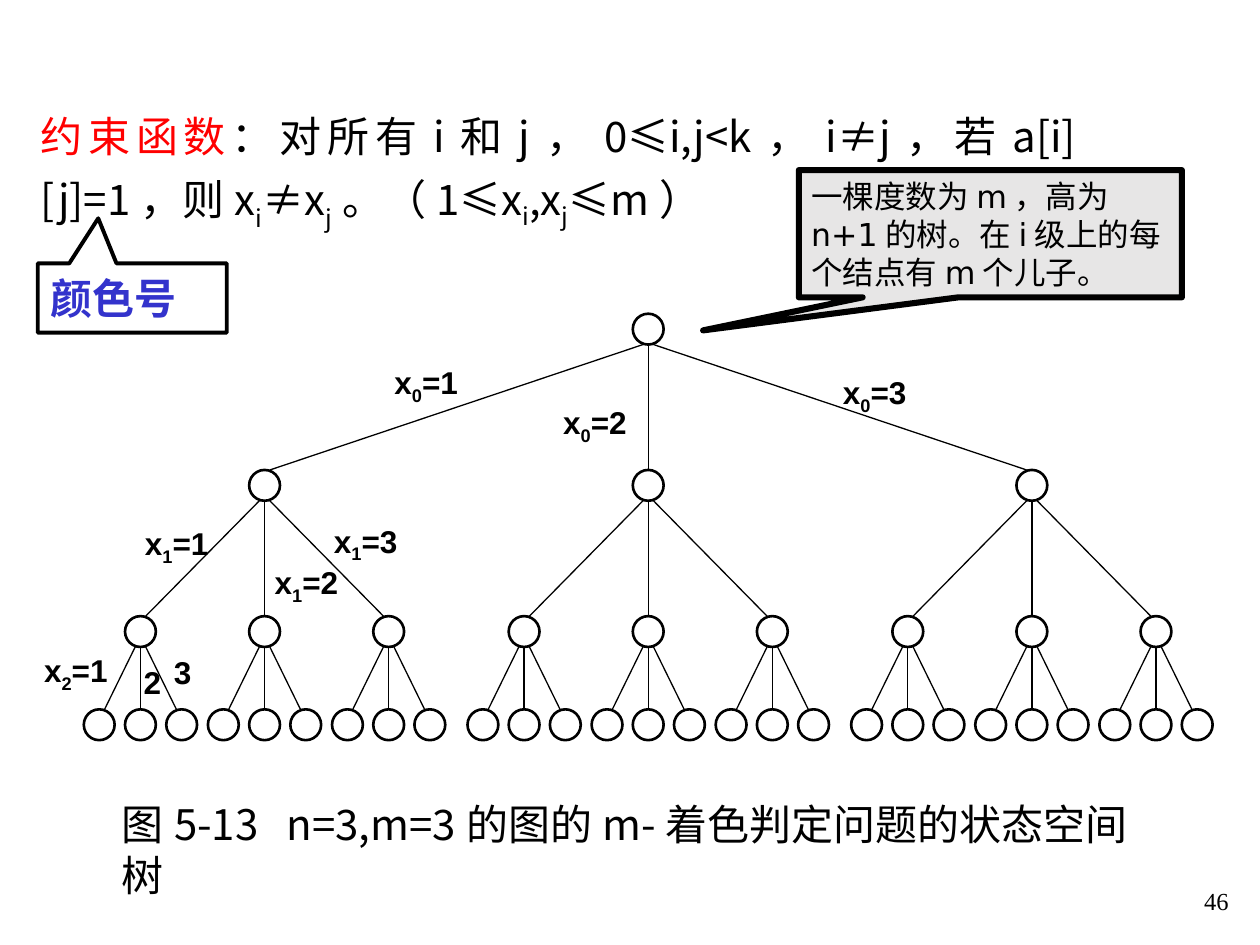
"""Builds the slide on the state space tree of the m-colouring problem."""
from dataclasses import dataclass

from lxml import etree
from pptx import Presentation
from pptx.dml.color import RGBColor
from pptx.enum.shapes import MSO_CONNECTOR, MSO_SHAPE
from pptx.enum.text import MSO_ANCHOR, MSO_AUTO_SIZE, PP_ALIGN
from pptx.oxml.ns import qn
from pptx.util import Emu, Inches, Pt

OVAL, CALL = MSO_SHAPE.OVAL, MSO_SHAPE.RECTANGULAR_CALLOUT
LINE = MSO_CONNECTOR.STRAIGHT
TOP, MID = MSO_ANCHOR.TOP, MSO_ANCHOR.MIDDLE
LEFT, RIGHT, FULL = PP_ALIGN.LEFT, PP_ALIGN.RIGHT, PP_ALIGN.JUSTIFY
FIXED = MSO_AUTO_SIZE.NONE
WIDE, HIGH = Inches(10), Inches(7.5)
COLS, ROWS = 100, 75


@dataclass(frozen=True)
class Theme:
    """Colours, fonts and type sizes."""
    ink: str = "000000"
    paper: str = "FFFFFF"
    red: str = "FF0000"
    blue: str = "3333CC"
    gray: str = "E7E6E6"
    han: str = "Noto Sans CJK SC"
    sans: str = "DejaVu Sans"
    bold: str = "Arial"
    serif: str = "Times New Roman"
    big: float = 24
    mid: float = 18
    small: float = 14


@dataclass(frozen=True)
class Box:
    """A place in grid columns and rows."""
    x: float
    y: float
    w: float
    h: float


@dataclass(frozen=True)
class Bit:
    """A stretch of text with its own colour or baseline."""
    text: str
    base: int = 0
    color: str = ""


@dataclass(frozen=True)
class Tag:
    """A label on a branch."""
    x: float
    y: float
    bits: tuple


@dataclass(frozen=True)
class Note:
    """A callout with its pointer and look."""
    box: Box
    tip: tuple
    text: str
    fill: str
    edge: float
    font: str
    size: float
    color: str
    bold: bool = False


THEME = Theme()
SIZE = 2.45
SLANT = 0.42
ROOT = 51.45
TIERS = (24.9, 37.3, 48.9, 56.3)
GAPS = (30.45, 9.85, 3.27)

HEAD = (
    Bit("约束函数", color=THEME.red), Bit("：对所有i和j，0≤i,j<k，i≠j，若a[i][j]=1，则x"),
    Bit("i", -30), Bit("≠x"), Bit("j", -30), Bit("。（1≤x"),
    Bit("i", -25), Bit(",x"), Bit("j", -25), Bit("≤m）"),
)


def pair(sub: str, num: int) -> tuple:
    """Return the bits of an equation such as x0=1."""
    return Bit("x"), Bit(sub, -25), Bit(f"={num}")


TAGS = (
    Tag(31.3, 28.8, pair("0", 1)), Tag(44.7, 32, pair("0", 2)),
    Tag(66.9, 29.6, pair("0", 3)), Tag(11.5, 41.6, pair("1", 1)),
    Tag(21.8, 44.7, pair("1", 2)), Tag(26.5, 41.4, pair("1", 3)),
    Tag(3.5, 51.7, pair("2", 1)), Tag(11.4, 52.6, (Bit("2"),)),
    Tag(13.8, 51.8, (Bit("3"),)),
)
NOTES = (
    Note(Box(3, 20.9, 15, 5.5), (-0.18, -1.15), "颜色号", THEME.paper, 2.25,
         THEME.bold, THEME.big, THEME.blue, True),
    Note(Box(63.4, 13.5, 30.4, 10.1), (-0.75, 0.76),
         "一棵度数为m，高为n+1的树。在i级上的每个结点有m个儿子。", THEME.gray, 3.5,
         THEME.sans, THEME.mid, THEME.ink),
)


def across(n: float) -> Emu:
    """Turn columns into a length."""
    return Emu(round(WIDE * n / COLS))


def down(n: float) -> Emu:
    """Turn rows into a length."""
    return Emu(round(HIGH * n / ROWS))


def area(box: Box) -> tuple:
    """Return left, top, width and height."""
    return across(box.x), down(box.y), across(box.w), down(box.h)


def write(shape, bits, *, size=THEME.big, font=THEME.han, color=THEME.ink,
          bold=False, align=LEFT, anchor=TOP, inset=(0.1, 0.05), space=1.0) -> None:
    """Fill a shape with one formatted paragraph."""
    frame = shape.text_frame
    frame.auto_size, frame.word_wrap, frame.vertical_anchor = FIXED, True, anchor
    frame.margin_left = frame.margin_right = Inches(inset[0])
    frame.margin_top = frame.margin_bottom = Inches(inset[1])
    para = frame.paragraphs[0]
    para.alignment, para.line_spacing = align, space
    for bit in bits:
        run = para.add_run()
        run.text = bit.text
        run.font.size, run.font.name, run.font.bold = Pt(size), font, bold
        run.font.color.rgb = RGBColor.from_string(bit.color or color)
        props = run.font._element
        etree.SubElement(props, qn("a:ea")).set("typeface", font)
        if bit.base:
            props.set("baseline", str(bit.base * 1000))


def label(slide, box: Box, bits, **style) -> None:
    """Add a text box."""
    write(slide.shapes.add_textbox(*area(box)), bits, **style)


def solid(slide, kind, box: Box, fill: str, edge: float):
    """Add a filled and outlined shape."""
    shape = slide.shapes.add_shape(kind, *area(box))
    shape.shadow.inherit = False
    shape.fill.solid()
    shape.fill.fore_color.rgb = RGBColor.from_string(fill)
    shape.line.color.rgb = RGBColor.from_string(THEME.ink)
    shape.line.width = Pt(edge)
    return shape


def branch(slide, x: float, y: float, to_x: float, to_y: float) -> None:
    """Add a thin line between two nodes."""
    line = slide.shapes.add_connector(LINE, across(x), down(y), across(to_x), down(to_y))
    line.line.color.rgb = RGBColor.from_string(THEME.ink)
    line.line.width = Pt(0.75)
    etree.SubElement(line._element.spPr, qn("a:effectLst"))


def tree(slide, x: float, tier: int = 0) -> None:
    """Draw a node and all that hangs below it."""
    y = TIERS[tier]
    solid(slide, OVAL, Box(x - SIZE / 2, y, SIZE, SIZE), THEME.paper, 1.5)
    if tier == len(GAPS):
        return
    for side in (-1, 0, 1):
        kid = x + side * GAPS[tier]
        tree(slide, kid, tier + 1)
        branch(slide, x + side * SLANT, y + SIZE, kid - side * SLANT, TIERS[tier + 1])


def callout(slide, note: Note) -> None:
    """Draw a callout with its text."""
    shape = solid(slide, CALL, note.box, note.fill, note.edge)
    shape.adjustments[0], shape.adjustments[1] = note.tip
    write(shape, [Bit(note.text)], size=note.size, font=note.font,
          color=note.color, bold=note.bold, anchor=MID)


def main() -> None:
    """Build and save the slide."""
    deck = Presentation()
    deck.slide_width, deck.slide_height = WIDE, HIGH
    slide = deck.slides.add_slide(deck.slide_layouts[5])
    head = slide.shapes.title
    head.left, head.top, head.width, head.height = area(Box(2.2, 7.5, 84.2, 12))
    write(head, HEAD, align=FULL, space=1.2)
    label(slide, Box(87, 69.8, 11.5, 3.6), [Bit("46")], size=THEME.small,
          font=THEME.serif, align=RIGHT)
    tree(slide, ROOT)
    for tag in TAGS:
        wide = 5.6 if len(tag.bits) > 1 else 1.6
        label(slide, Box(tag.x, tag.y, wide, 3), tag.bits, size=THEME.mid,
              font=THEME.bold, bold=True, inset=(0, 0))
    label(slide, Box(8.7, 62.9, 84.3, 5),
          [Bit("图5-13   n=3,m=3的图的m-着色判定问题的状态空间树")])
    for note in NOTES:
        callout(slide, note)
    deck.save("out.pptx")


if __name__ == "__main__":
    main()
